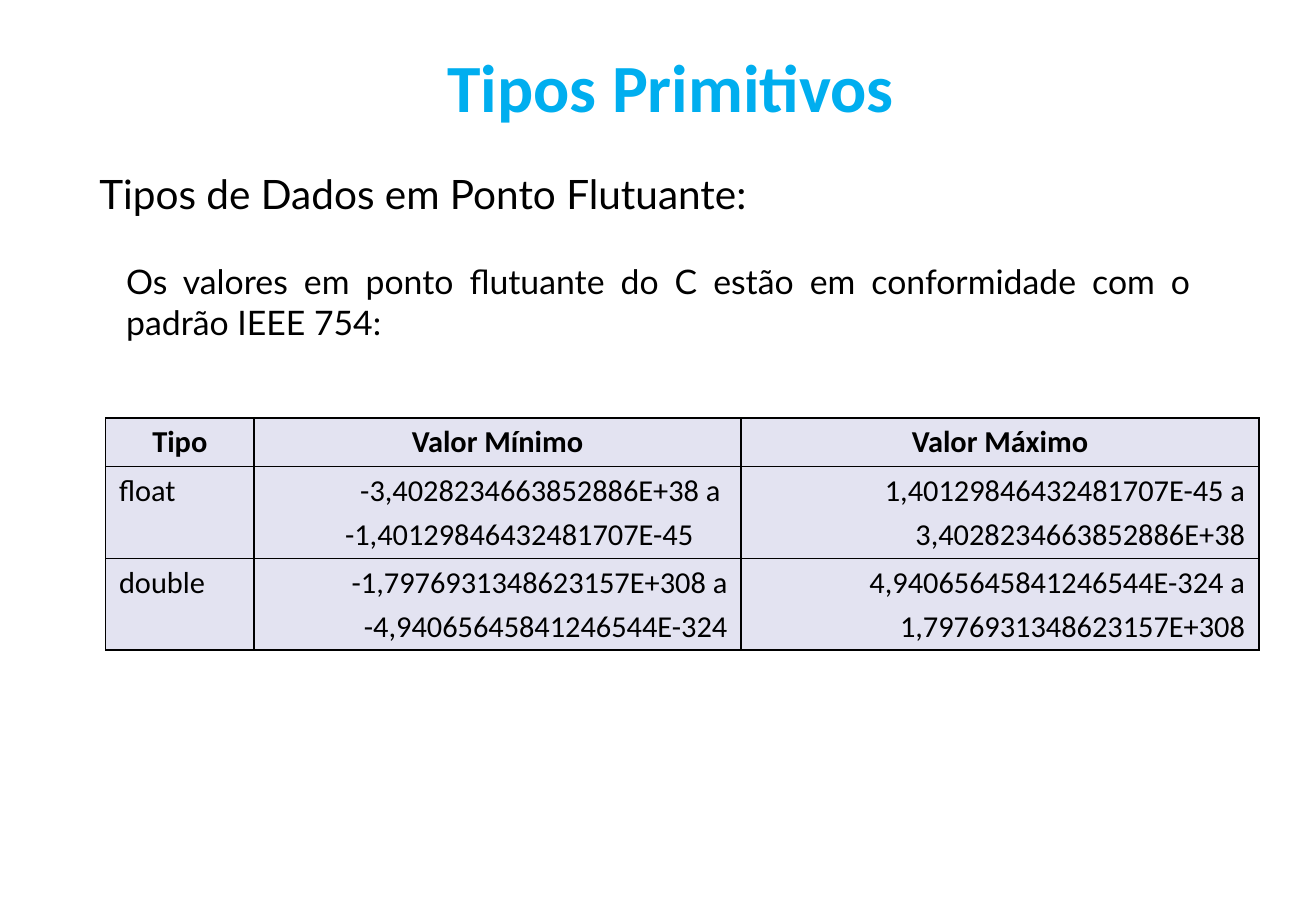
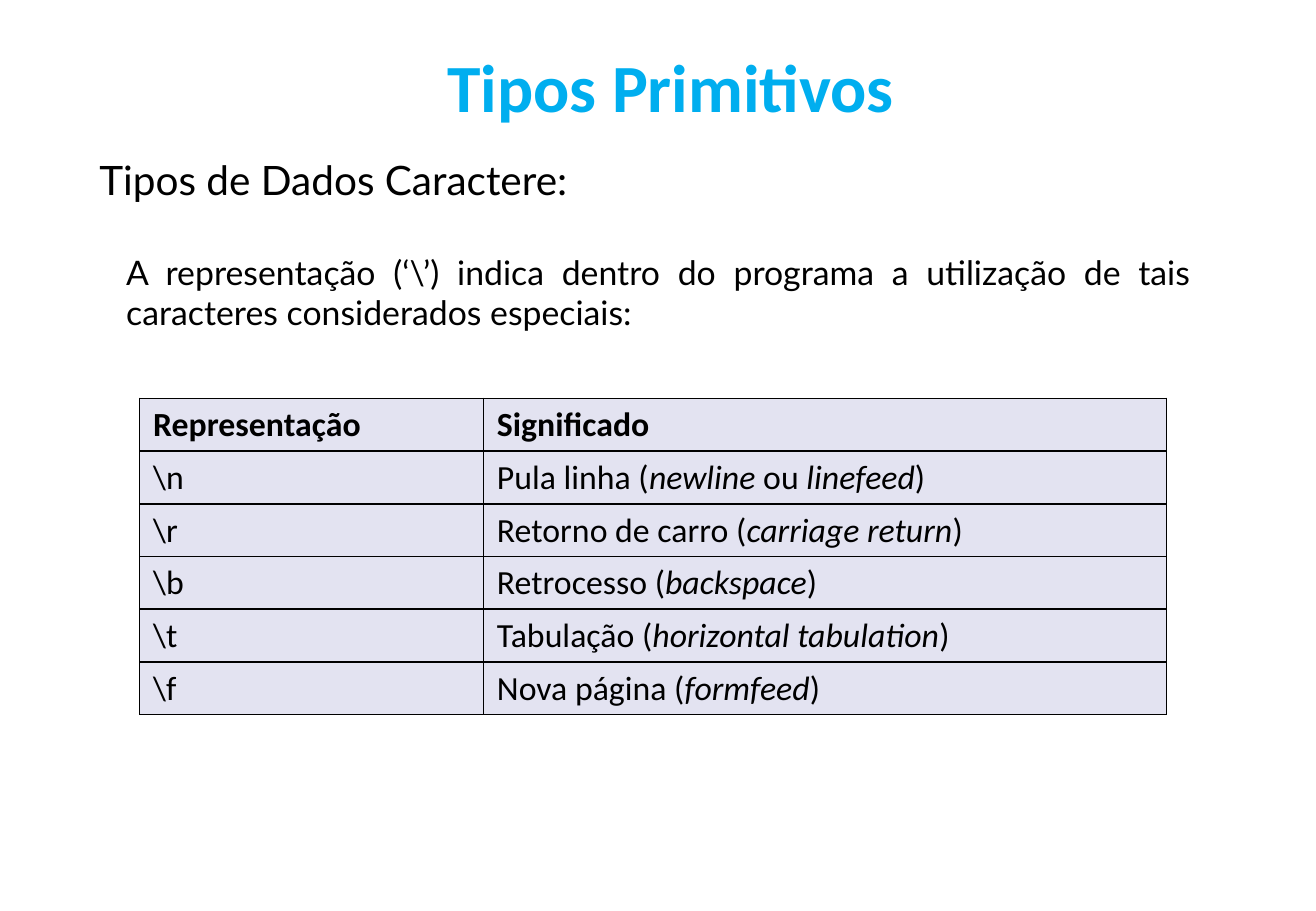
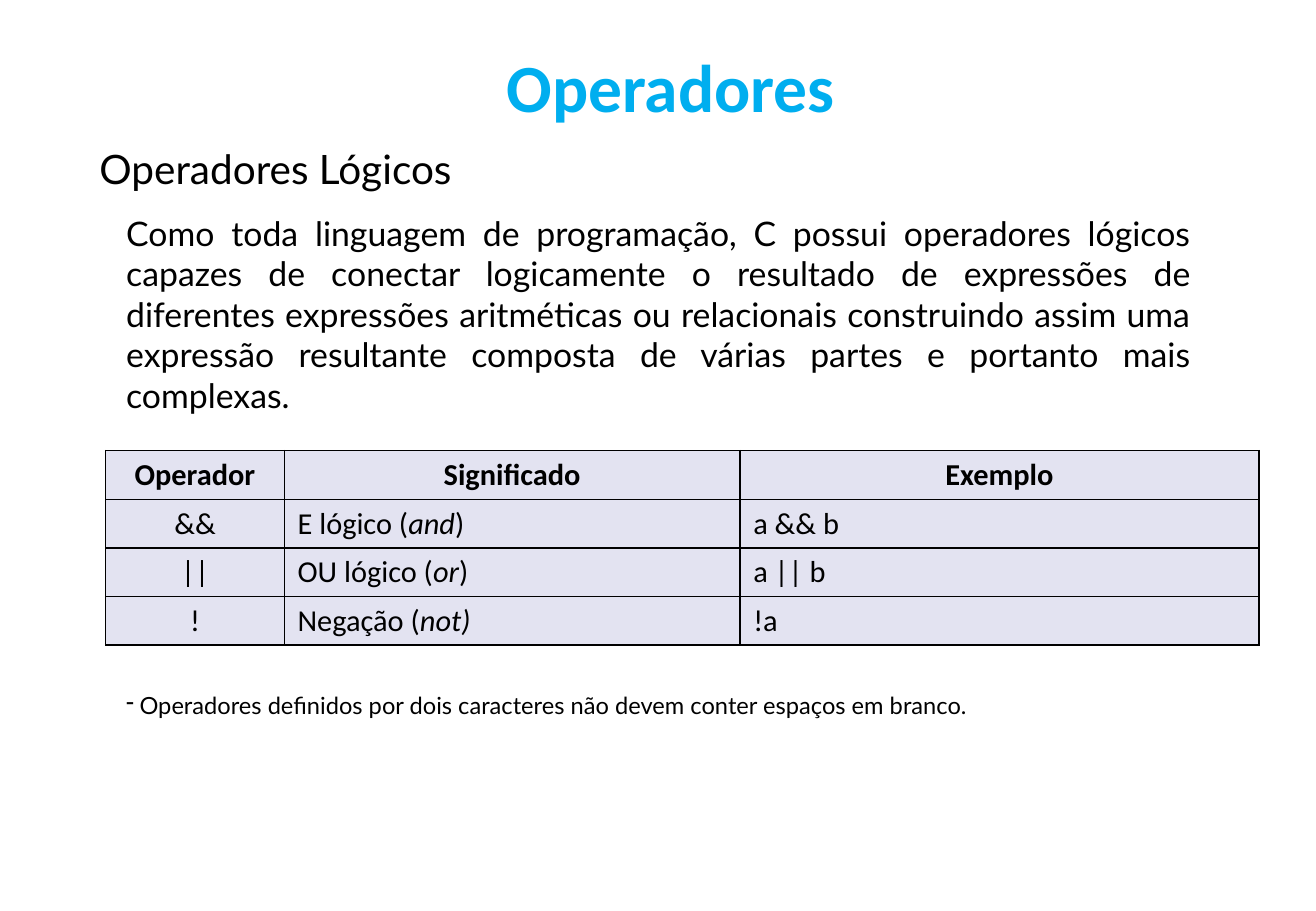
from lxml.etree import SubElement
from pptx import Presentation
from pptx.dml.color import RGBColor
from pptx.enum.text import MSO_ANCHOR, PP_ALIGN
from pptx.oxml.ns import qn
from pptx.util import Pt

PX = 9144
SLIDE_W, SLIDE_H = 1083, 750
WHITE = RGBColor(0xFF, 0xFF, 0xFF)
BLACK = RGBColor(0x00, 0x00, 0x00)
SKY = RGBColor(0x00, 0xAE, 0xEF)
LILAC = RGBColor(0xE3, 0xE3, 0xF1)
LEFT, CENTER, RIGHT, JUSTIFY = (
    PP_ALIGN.LEFT, PP_ALIGN.CENTER, PP_ALIGN.RIGHT, PP_ALIGN.JUSTIFY)
TITLE_BOX = (56, 28, 992, 85)
HEADING_X, BODY_X, TEXT_W = 72, 94, 896
INSET_X, INSET_Y = 11, 5


def px(n):
    """Convert px to EMU."""
    return n * PX


def write(tf, text, size=18, font="Calibri", color=BLACK, bold=False,
          align=LEFT, indents=(), bullet=None, hang=0):
    """Fill a text frame; lines become paragraphs and *marked* words italic."""
    tf.word_wrap = True
    for i, line in enumerate(text.split("\n")):
        p = tf.paragraphs[0] if i == 0 else tf.add_paragraph()
        p.alignment = align
        if i:
            p.space_before = Pt(4)
        pPr = p._p.get_or_add_pPr()
        if i < len(indents) and indents[i]:
            p.alignment = LEFT
            pPr.set("marL", str(px(indents[i])))
        if bullet:
            pPr.set("marL", str(px(hang)))
            pPr.set("indent", str(-px(hang)))
            SubElement(pPr, qn("a:buChar"), char=bullet)
        for j, part in enumerate(line.split("*")):
            if part:
                r = p.add_run()
                r.text = part
                r.font.size = Pt(size)
                r.font.name = font
                r.font.bold = bold
                r.font.italic = j % 2 == 1
                r.font.color.rgb = color


def add_text(s, box, text, anchor=MSO_ANCHOR.TOP, **fmt):
    """Place a text box."""
    sp = s.shapes.add_textbox(*map(px, box))
    sp.text_frame.vertical_anchor = anchor
    write(sp.text_frame, text, **fmt)


def add_borders(cell):
    """Draw thin black lines on all sides of a cell."""
    tcPr = cell._tc.get_or_add_tcPr()
    for side in ("a:lnL", "a:lnR", "a:lnT", "a:lnB"):
        ln = SubElement(tcPr, qn(side), w=str(Pt(1)))
        fill = SubElement(ln, qn("a:solidFill"))
        SubElement(fill, qn("a:srgbClr"), val=str(BLACK))


def add_grid(s, x, y, cols, heights, rows, aligns, head_align=CENTER,
             size=18, indents=None):
    """Place a bordered table whose first row is its heading."""
    box = (x, y, sum(cols), sum(heights))
    table = s.shapes.add_table(len(rows), len(cols), *map(px, box)).table
    table.first_row = table.horz_banding = False
    for column, width in zip(table.columns, cols):
        column.width = px(width)
    for i, (height, texts) in enumerate(zip(heights, rows)):
        table.rows[i].height = px(height)
        for j, text in enumerate(texts):
            cell = table.cell(i, j)
            cell.margin_left = cell.margin_right = px(INSET_X)
            cell.margin_top = cell.margin_bottom = px(INSET_Y)
            add_borders(cell)
            cell.fill.solid()
            cell.fill.fore_color.rgb = LILAC
            write(cell.text_frame, text, size=size, bold=i == 0,
                  align=aligns[j] if i else head_align,
                  indents=(indents or {}).get((i, j), ()))


def add_page(prs, title, heading, heading_y, body, body_y, body_h):
    """Add a slide with its title, heading and justified paragraph."""
    s = prs.slides.add_slide(prs.slide_layouts[6])
    s.background.fill.solid()
    s.background.fill.fore_color.rgb = WHITE
    add_text(s, TITLE_BOX, title, anchor=MSO_ANCHOR.MIDDLE, size=40,
             color=SKY, bold=True, align=CENTER)
    add_text(s, (HEADING_X, heading_y, TEXT_W, 50), heading, size=24,
             font="Lato")
    add_text(s, (BODY_X, body_y, TEXT_W, body_h), body, size=20,
             font="Lato", align=JUSTIFY)
    return s


def floating_point_slide(prs):
    """Build the slide on floating point types."""
    s = add_page(prs, "Tipos Primitivos",
                 "Tipos de Dados em Ponto Flutuante:", 134,
                 "Os valores em ponto flutuante do C estão em conformidade "
                 "com o padrão IEEE 754:", 210, 77)
    rows = [
        ("Tipo", "Valor Mínimo", "Valor Máximo"),
        ("float", "-3,4028234663852886E+38 a \n-1,40129846432481707E-45",
         "1,40129846432481707E-45 a\n3,4028234663852886E+38"),
        ("double", "-1,7976931348623157E+308 a\n-4,94065645841246544E-324",
         "4,94065645841246544E-324 a\n1,7976931348623157E+308"),
    ]
    add_grid(s, 87, 344, (122, 401, 426), (40, 75, 75), rows,
             (LEFT, RIGHT, RIGHT), indents={(1, 1): (0, 64)})


def character_slide(prs):
    """Build the slide on special characters."""
    s = add_page(prs, "Tipos Primitivos", "Tipos de Dados Caractere:", 123,
                 "A representação (‘\\’) indica dentro do programa a "
                 "utilização de tais caracteres considerados especiais:",
                 202, 77)
    rows = [
        ("Representação", "Significado"),
        ("\\n", "Pula linha (*newline* ou *linefeed*)"),
        ("\\r", "Retorno de carro (*carriage return*)"),
        ("\\b", "Retrocesso (*backspace*)"),
        ("\\t", "Tabulação (*horizontal tabulation*)"),
        ("\\f", "Nova página (*formfeed*)"),
    ]
    add_grid(s, 115, 328, (283, 562), [43] * len(rows), rows, (LEFT, LEFT),
             head_align=LEFT, size=20)


def operator_slide(prs):
    """Build the slide on logical operators."""
    s = add_page(prs, "Operadores", "Operadores Lógicos", 114,
                 "Como toda linguagem de programação, C possui operadores "
                 "lógicos capazes de conectar logicamente o resultado de "
                 "expressões de diferentes expressões aritméticas ou "
                 "relacionais construindo assim uma expressão resultante "
                 "composta de várias partes e portanto mais complexas.",
                 170, 177)
    rows = [
        ("Operador", "Significado", "Exemplo"),
        ("&&", "E lógico (*and*)", "a && b"),
        ("||", "OU lógico (*or*)", "a || b"),
        ("!", "Negação (*not)*", "!a"),
    ]
    add_grid(s, 87, 371, (147, 375, 427), [40] * len(rows), rows,
             (CENTER, LEFT, LEFT))
    add_text(s, (BODY_X, 564, TEXT_W, 33),
             "Operadores definidos por dois caracteres não devem conter "
             "espaços em branco.", size=14, font="Lato", align=JUSTIFY,
             bullet="-", hang=11)


def main():
    """Build and save the presentation."""
    prs = Presentation()
    prs.slide_width, prs.slide_height = px(SLIDE_W), px(SLIDE_H)
    floating_point_slide(prs)
    character_slide(prs)
    operator_slide(prs)
    prs.save("out.pptx")


if __name__ == "__main__":
    main()
